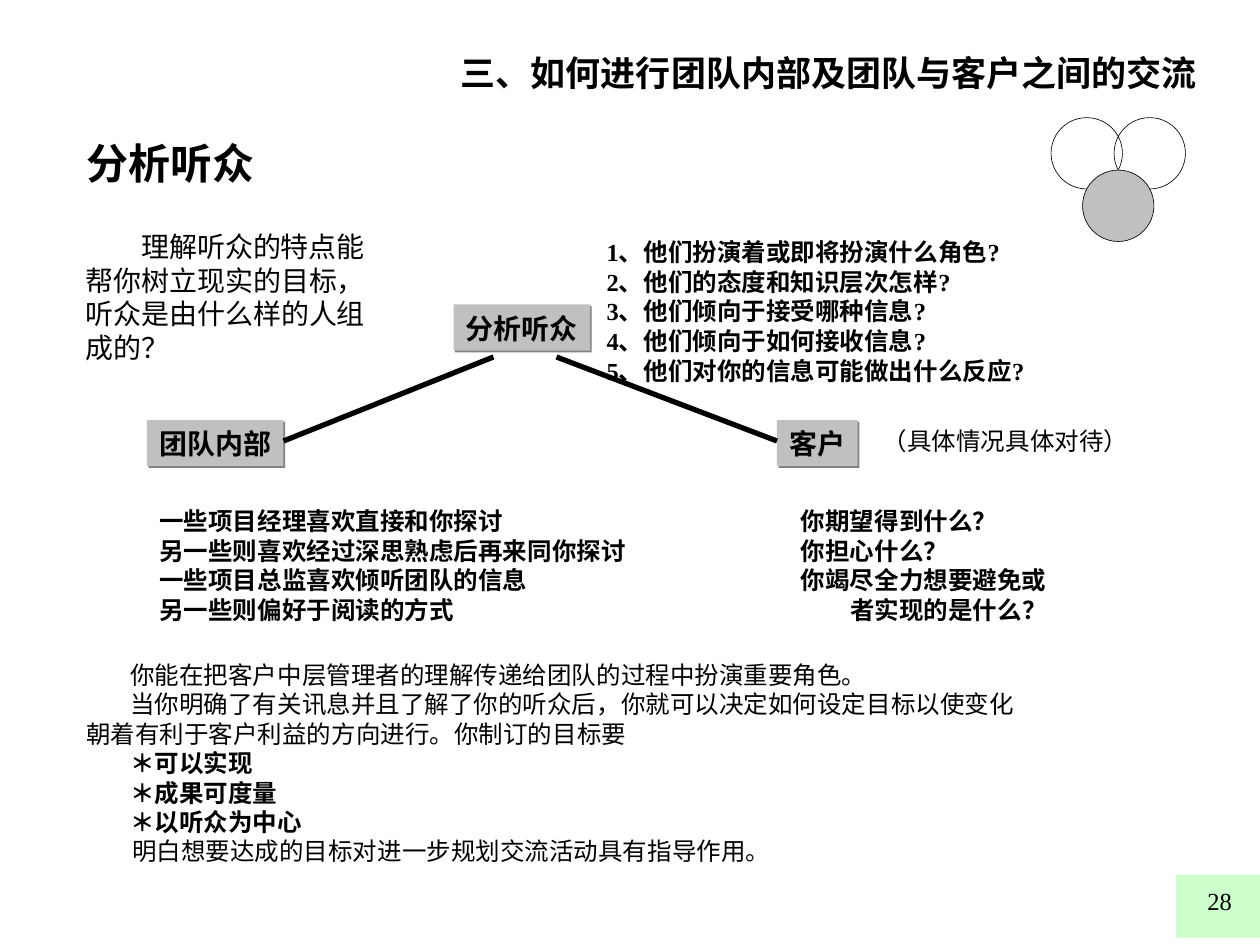
from dataclasses import dataclass

from lxml import etree
from pptx import Presentation
from pptx.dml.color import RGBColor
from pptx.enum.shapes import MSO_CONNECTOR, MSO_SHAPE
from pptx.enum.text import MSO_ANCHOR, MSO_AUTO_SIZE, PP_ALIGN
from pptx.oxml.ns import qn
from pptx.util import Inches, Pt

RECTANGLE, OVAL = MSO_SHAPE.RECTANGLE, MSO_SHAPE.OVAL
STRAIGHT = MSO_CONNECTOR.STRAIGHT
LEFT, CENTER, RIGHT = PP_ALIGN.LEFT, PP_ALIGN.CENTER, PP_ALIGN.RIGHT
TOP = MSO_ANCHOR.TOP
FIXED_SIZE = MSO_AUTO_SIZE.NONE


@dataclass(frozen=True)
class Theme:
    ink: str = "000000"
    panel: str = "C0C0C0"
    shadow: str = "808080"
    corner: str = "CCFFCC"
    latin: str = "Times New Roman"
    chinese: str = "Noto Sans CJK SC"
    title: int = 24
    header: int = 20
    label: int = 16
    text: int = 14
    leading: float = 1.21


THEME = Theme()
COLUMNS, ROWS = 120, 90
SLIDE_WIDTH, SLIDE_HEIGHT = Inches(10), Inches(7.5)

# Content: places are (column, row, columns wide, rows high)
TITLE = ("分析听众", (7, 12.5, 26.4, 7))

# Body lines: (text, bold, first-line indent in columns)
BODY_PLACE = (7, 62.2, 92, 18.2)
BODY = [
    ("你能在把客户中层管理者的理解传递给团队的过程中扮演重要角色。", False, 4.2),
    ("当你明确了有关讯息并且了解了你的听众后，你就可以决定如何设定目标以使变化", False, 4.2),
    ("朝着有利于客户利益的方向进行。你制订的目标要", False, 0),
    ("＊可以实现", True, 4.2),
    ("＊成果可度量", True, 4.2),
    ("＊以听众为中心", True, 4.2),
]

# Text boxes: (place, type size, alignment, lines)
TEXTS = [
    ((42.7, 4.3, 74.6, 5.3), THEME.header, LEFT,
     [("三、如何进行团队内部及团队与客户之间的交流", True, 0)]),
    ((7, 21.2, 30, 14), THEME.label, LEFT,
     [("理解听众的特点能", False, 5.3),
      ("帮你树立现实的目标，", False, 0),
      ("听众是由什么样的人组", False, 0),
      ("成的？", False, 0)]),
    ((56.6, 22, 55.3, 18), THEME.text, LEFT,
     [("1、他们扮演着或即将扮演什么角色?", True, 0),
      ("2、他们的态度和知识层次怎样?", True, 0),
      ("3、他们倾向于接受哪种信息?", True, 0),
      ("4、他们倾向于如何接收信息?", True, 0),
      ("5、他们对你的信息可能做出什么反应?", True, 0)]),
    ((14, 47.6, 58.8, 12.5), THEME.text, LEFT,
     [("一些项目经理喜欢直接和你探讨", True, 0),
      ("另一些则喜欢经过深思熟虑后再来同你探讨", True, 0),
      ("一些项目总监喜欢倾听团队的信息", True, 0),
      ("另一些则偏好于阅读的方式", True, 0)]),
    ((75.1, 47.6, 37.9, 12.5), THEME.text, LEFT,
     [("你期望得到什么？", True, 0),
      ("你担心什么？", True, 0),
      ("你竭尽全力想要避免或", True, 0),
      ("者实现的是什么？", True, 4.7)]),
    ((82.9, 40, 26.4, 4.1), THEME.text, LEFT,
     [("（具体情况具体对待）", False, 0)]),
    ((11.4, 79, 63.7, 4.1), THEME.text, LEFT,
     [("明白想要达成的目标对进一步规划交流活动具有指导作用。", False, 0)]),
    ((93.5, 83.8, 25, 6), THEME.text, RIGHT, [("28", False, 0)]),
]

LABELS = [
    ("团队内部", (14, 40, 13, 4.4)),
    ("客户", (74, 40, 7.7, 4.4)),
    ("分析听众", (43.2, 29, 13, 4.4)),
]
BRANCHES = [((27, 42), (47, 34)), ((74, 42), (53, 34))]

CORNER = (112, 83.3, 8, 6)
CIRCLE_SIZE = 6.8
CIRCLES = [(106.1, 11.2, None), (100.1, 11.2, None), (103.1, 16.2, THEME.panel)]


def across(columns):
    return round(SLIDE_WIDTH * columns / COLUMNS)


def down(rows):
    return round(SLIDE_HEIGHT * rows / ROWS)


def on_grid(place):
    column, row, wide, high = place
    return across(column), down(row), across(wide), down(high)


def write(box, lines, size, align=LEFT, wrap=True):
    frame = box.text_frame
    frame.auto_size = FIXED_SIZE
    frame.word_wrap = wrap
    frame.vertical_anchor = TOP
    for index, (text, bold, indent) in enumerate(lines):
        para = frame.add_paragraph() if index else frame.paragraphs[0]
        properties = para._p.get_or_add_pPr()
        properties.set("marL", "0")
        properties.set("indent", str(across(indent)))
        etree.SubElement(properties, qn("a:buNone"))
        para.alignment = align
        para.space_before = Pt(0)
        para.line_spacing = Pt(round(size * THEME.leading, 1))
        span = para.add_run()
        span.text = text
        font = span.font
        font.name, font.size, font.bold = THEME.latin, Pt(size), bold
        font.color.rgb = RGBColor.from_string(THEME.ink)
        east_asian = etree.Element(qn("a:ea"), typeface=THEME.chinese)
        span._r.rPr.find(qn("a:latin")).addnext(east_asian)


def put(holder, place):
    holder.left, holder.top, holder.width, holder.height = on_grid(place)


def add_panel(page, kind, place, fill=None, outline=None):
    panel = page.shapes.add_shape(kind, *on_grid(place))
    panel.shadow.inherit = False
    if fill:
        panel.fill.solid()
        panel.fill.fore_color.rgb = RGBColor.from_string(fill)
    else:
        panel.fill.background()
    if outline:
        panel.line.color.rgb = RGBColor.from_string(THEME.ink)
        panel.line.width = Pt(outline)
    else:
        panel.line.fill.background()
    return panel


def cast_shadow(panel):
    effects = panel._element.spPr.find(qn("a:effectLst"))
    shadow = etree.SubElement(effects, qn("a:outerShdw"), dist=str(Pt(1.4)),
                              dir="2700000", algn="ctr", rotWithShape="0")
    etree.SubElement(shadow, qn("a:srgbClr"), val=THEME.shadow)


def main():
    deck = Presentation()
    deck.slide_width, deck.slide_height = SLIDE_WIDTH, SLIDE_HEIGHT
    page = deck.slides.add_slide(deck.slide_layouts[1])

    # Title and body
    title, body = page.shapes.title, page.placeholders[1]
    put(title, TITLE[1])
    write(title, [(TITLE[0], True, 0)], THEME.title)
    put(body, BODY_PLACE)
    write(body, BODY, THEME.text)

    # Corner block and three circles
    add_panel(page, RECTANGLE, CORNER, THEME.corner)
    for column, row, fill in CIRCLES:
        add_panel(page, OVAL, (column, row, CIRCLE_SIZE, CIRCLE_SIZE), fill, 0.37)

    # Audience labels
    for text, place in LABELS:
        label = add_panel(page, RECTANGLE, place, THEME.panel)
        cast_shadow(label)
        write(label, [(text, True, 0)], THEME.label, CENTER, wrap=False)

    # Text boxes
    for place, size, align, lines in TEXTS:
        write(page.shapes.add_textbox(*on_grid(place)), lines, size, align)

    # Branches between the labels
    for (column, row), (end_column, end_row) in BRANCHES:
        branch = page.shapes.add_connector(
            STRAIGHT, across(column), down(row), across(end_column), down(end_row))
        branch.line.color.rgb = RGBColor.from_string(THEME.ink)
        branch.line.width = Pt(3)
        etree.SubElement(branch._element.spPr, qn("a:effectLst"))

    deck.save("out.pptx")


if __name__ == "__main__":
    main()
